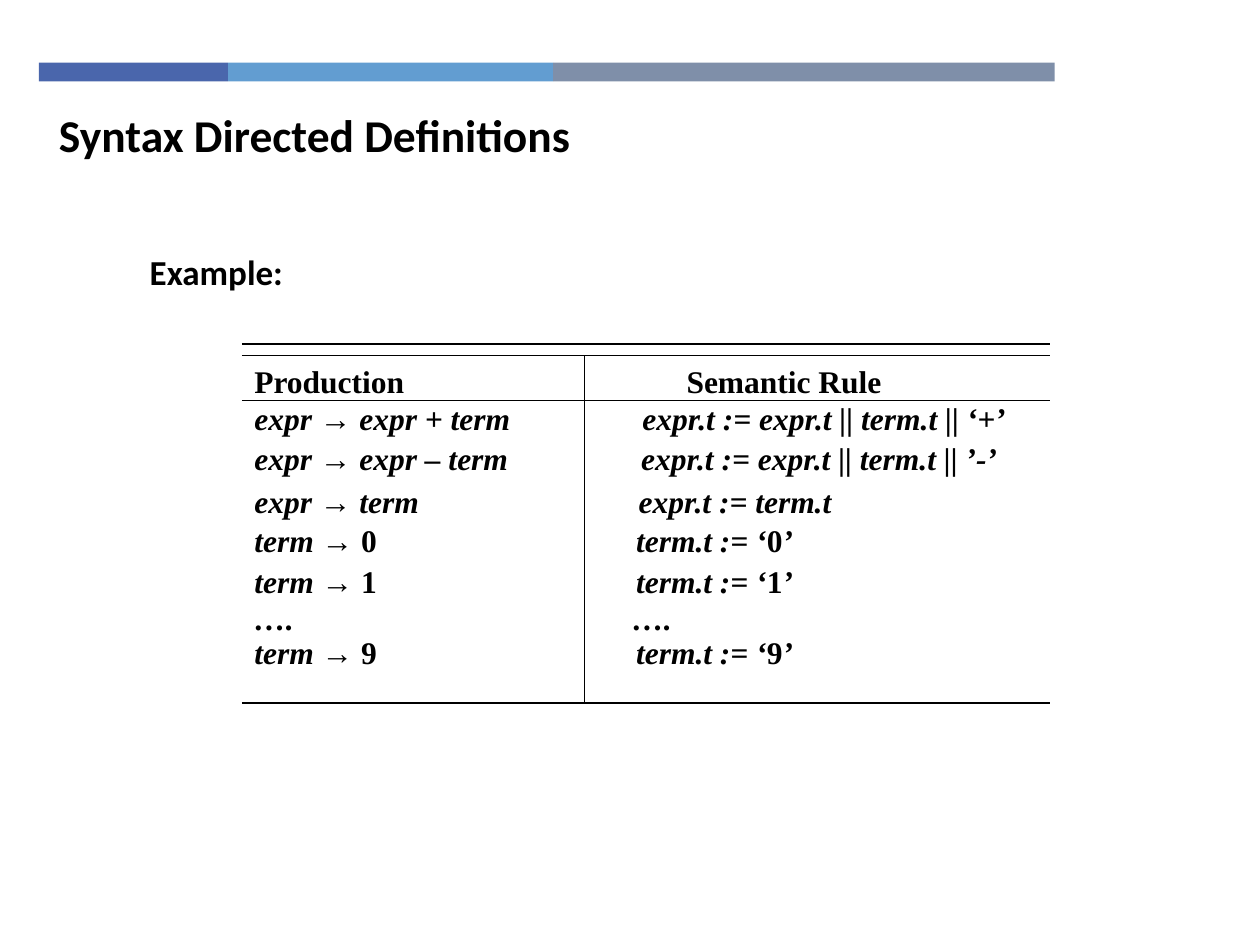
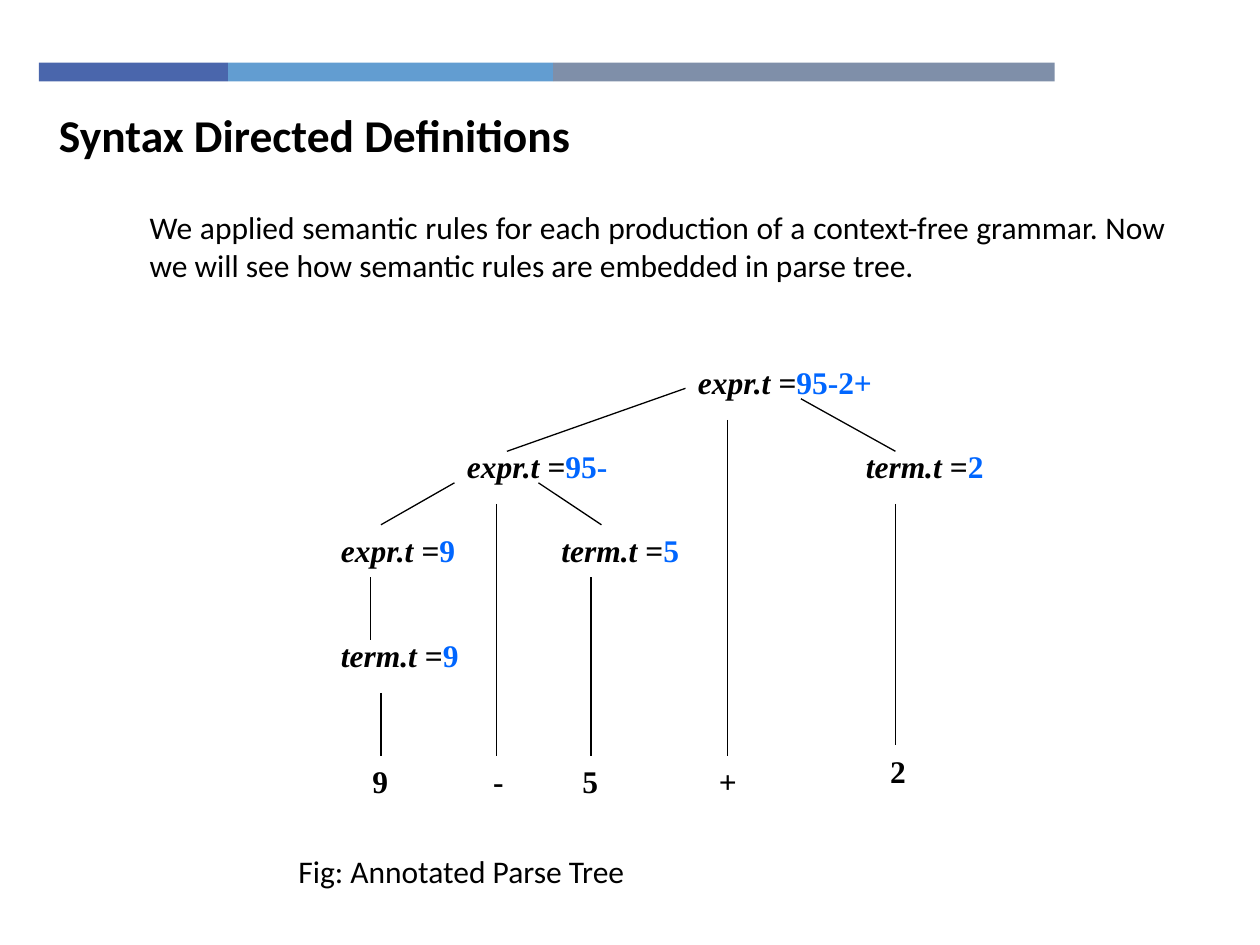
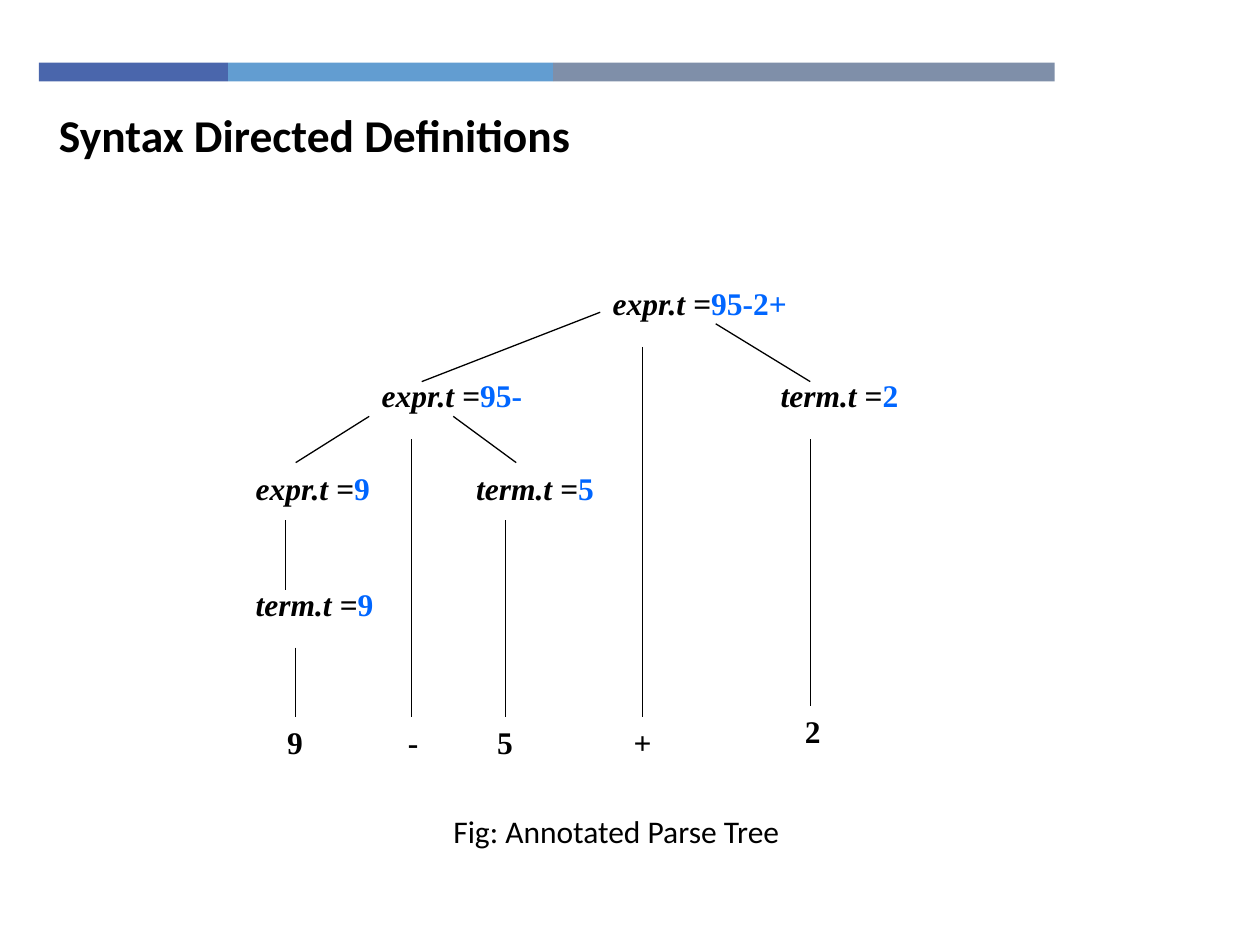
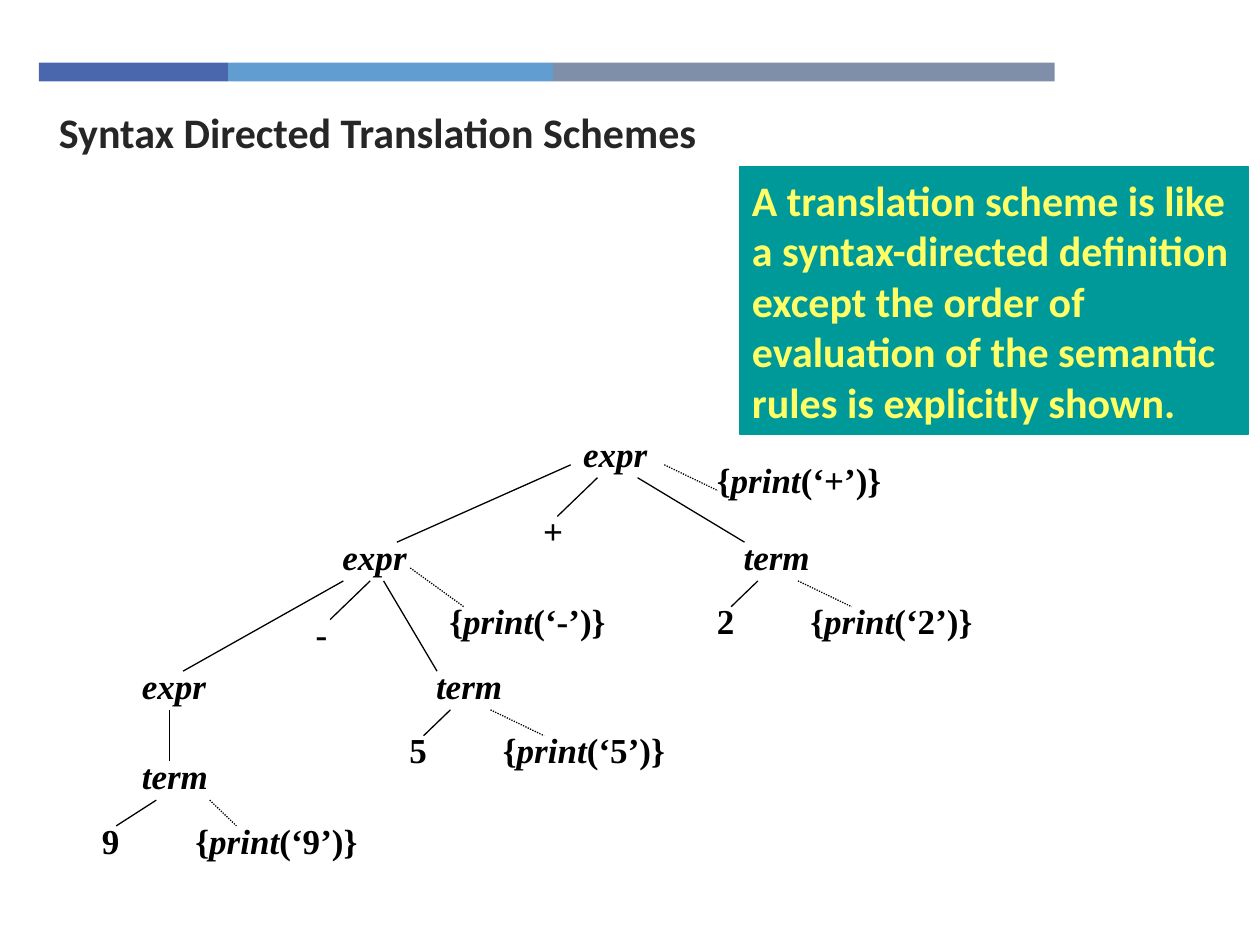
"""Build four slides on syntax-directed definitions and translation schemes."""
import lxml.etree
import pptx
import pptx.dml.color
import pptx.enum.dml
import pptx.enum.shapes
import pptx.enum.text
import pptx.oxml.ns
import pptx.util

RGBColor = pptx.dml.color.RGBColor
ALIGN = pptx.enum.text.PP_ALIGN
ANCHOR = pptx.enum.text.MSO_ANCHOR
SHAPE = pptx.enum.shapes.MSO_SHAPE
qn = pptx.oxml.ns.qn

BLACK = RGBColor(0, 0, 0)
CHARCOAL = RGBColor(0x26, 0x26, 0x26)
NAVY = RGBColor(0x4A, 0x66, 0xAC)
SKY = RGBColor(0x62, 0x9D, 0xD1)
SLATE = RGBColor(0x7F, 0x8F, 0xA9)
BLUE = RGBColor(0, 0x66, 0xFF)
TEAL = RGBColor(0, 0x99, 0x99)
YELLOW = RGBColor(0xFF, 0xFF, 0x66)

SANS, SERIF = "Calibri", "Times New Roman"
BANDS = [(15, NAVY), (25.8, SKY), (39.8, SLATE)]
THIN = 0.75

RULES = [
    (1, 34.3, "Production", "Semantic Rule"),
    (0.5, 30.8, "_expr_ → _expr + term_", "_expr.t := expr.t || term.t || ‘+’_"),
    (0.7, 30.7, "_expr_ → _expr – term_", "_expr.t := expr.t || term.t || ’-’_"),
    (0.7, 30.5, "_expr_ → _term_", "_expr.t := term.t_"),
    (0.6, 30.3, "_term_ → 0", "_term.t := ‘_0_’_"),
    (0.7, 30.3, "_term_ → 1", "_term.t := ‘_1_’_"),
    (0.5, 30, "_…._", "_…._"),
    (0.5, 30.3, "_term_ → 9", "_term.t := ‘_9_’_"),
]
RULE_LINES = [(19.2, y, 83.3, y) for y in (28.2, 27.3, 55.8, 31.8)]
RULE_LINES.append((46.4, 28.2, 46.4, 55.8))

PARSE_NODES = [
    (12, 8, 18, "_expr.t =_95-"), (0, 16, 18, "_expr.t =_9"),
    (34, 0, 21, "_expr.t =_95-2+"), (21, 16, 18, "_term.t =_5"),
    (50, 8, 18, "_term.t =_2"), (0, 26, 18, "_term.t =_9"),
]
PARSE_LEAVES = [(52.3, 37, "2"), (36, 38, "+"), (23, 38, "5"),
                (14.5, 38, "-"), (3, 38, "9")]
PARSE_EDGES = [
    (5, 32, 5, 38), (45, 4, 54, 9), (20, 12, 26, 16), (34, 3, 17, 9),
    (12, 12, 5, 16), (4, 21, 4, 27), (16, 14, 16, 38), (38, 6, 38, 38),
    (25, 21, 25, 38), (54, 14, 54, 37),
]

SCHEME_NODES = [(3, 25, "term"), (48, 8, "term"), (25, 18, "term"),
                (3, 18, "expr"), (18, 8, "expr"), (36, 0, "expr")]
SCHEME_LEAVES = [(0, 30, "9"), (23, 23, "5"), (46, 13, "2"),
                 (16, 14, "-"), (33, 6, "+")]
SCHEME_PRINTS = [(26, 13, "-"), (7, 30, "9"), (30, 23, "5"),
                 (53, 13, "2"), (46, 2, "+")]
SCHEME_EDGES = [
    (5, 29, 2, 31), (21, 12, 18, 15), (6, 22, 6, 26), (19, 12, 7, 19),
    (22, 12, 26, 19), (27, 22, 25, 24), (50, 12, 48, 14), (38, 4, 35, 7),
    (41, 4, 49, 9), (36, 3, 23, 9),
]
SCHEME_DOTS = [(30, 22, 34, 24), (9, 29, 11, 31), (24, 11, 28, 14),
               (53, 12, 57, 14), (43, 3, 47, 5)]


def write(par, text, font=SANS, size=18, color=BLACK, tint=None,
          bold=False, align=ALIGN.LEFT):
    """Fill a paragraph; underscores enclose italics, and tint colours the upright runs."""
    par.alignment = align
    for i, part in enumerate(text.split("_")):
        if part:
            run = par.add_run()
            run.text = part
            run.font.name = font
            run.font.size = pptx.util.Pt(size)
            run.font.bold = bold
            run.font.italic = i % 2 == 1
            run.font.color.rgb = tint if tint and i % 2 == 0 else color


class Deck:
    """Hold the style, the current slide and its grid."""

    def __init__(self):
        """Start an empty ten by seven and a half inch show."""
        self.show = pptx.Presentation()
        self.show.slide_width = pptx.util.Inches(10)
        self.show.slide_height = pptx.util.Inches(7.5)

    def grid(self, left=0, top=0, col=7.2, row=7.2):
        """Set the grid's corner and cell size in points."""
        self.left, self.top, self.col, self.row = left, top, col, row

    def x(self, cols):
        """Return the place of a column."""
        return pptx.util.Pt(self.left + cols * self.col)

    def y(self, rows):
        """Return the place of a row."""
        return pptx.util.Pt(self.top + rows * self.row)

    def area(self, x, y, wide, high):
        """Return a box of cells as left, top, width and height."""
        return (self.x(x), self.y(y),
                pptx.util.Pt(wide * self.col), pptx.util.Pt(high * self.row))

    def slide(self, title, **form):
        """Add a slide with the bands and a title."""
        self.page = self.show.slides.add_slide(self.show.slide_layouts[6])
        self.grid()
        left = 3.1
        for wide, color in BANDS:
            self.block(left, 4.96, wide, 1.5, color)
            left += wide
        self.text(3.7, 8, 71.6, 5.4, title, **{"size": 26, "bold": True, **form})

    def block(self, x, y, wide, high, color):
        """Draw a plain filled box."""
        box = self.page.shapes.add_shape(SHAPE.RECTANGLE, *self.area(x, y, wide, high))
        box.shadow.inherit = False
        box.fill.solid()
        box.fill.fore_color.rgb = color
        box.line.fill.background()
        return box

    def frame(self, x, y, wide, high):
        """Place an empty text box and return its wrapping frame."""
        box = self.page.shapes.add_textbox(*self.area(x, y, wide, high))
        box.text_frame.word_wrap = True
        return box.text_frame

    def text(self, x, y, wide, high, words, **form):
        """Place a text box."""
        write(self.frame(x, y, wide, high).paragraphs[0], words, **form)

    def note(self, x, y, wide, high, words, fill, **form):
        """Place text on a filled box with a line of the same colour."""
        box = self.block(x, y, wide, high, fill)
        box.line.color.rgb = fill
        box.line.width = pptx.util.Pt(1)
        box.text_frame.word_wrap = True
        box.text_frame.vertical_anchor = ANCHOR.MIDDLE
        write(box.text_frame.paragraphs[0], words, **form)

    def line(self, x1, y1, x2, y2, dash=None):
        """Draw a thin line between two grid points."""
        line = self.page.shapes.add_connector(
            pptx.enum.shapes.MSO_CONNECTOR.STRAIGHT,
            self.x(x1), self.y(y1), self.x(x2), self.y(y2))
        line.line.color.rgb = BLACK
        line.line.width = pptx.util.Pt(THIN)
        if dash:
            line.line.dash_style = dash
        lxml.etree.SubElement(line._element.spPr, qn("a:effectLst"))

    def pairs(self, x, y, wide, high, rows, **form):
        """Place rows of two texts, the second at a tab stop."""
        frame = self.frame(x, y, wide, high)
        for i, (space, stop, *words) in enumerate(rows):
            par = frame.add_paragraph() if i else frame.paragraphs[0]
            par.line_spacing = space
            props = par._p.get_or_add_pPr()
            before = lxml.etree.SubElement(props, qn("a:spcBef"))
            lxml.etree.SubElement(before, qn("a:spcPct")).set("val", "50000")
            tabs = lxml.etree.SubElement(props, qn("a:tabLst"))
            tab = lxml.etree.SubElement(tabs, qn("a:tab"))
            tab.set("pos", str(pptx.util.Pt(stop * self.col)))
            tab.set("algn", "l")
            write(par, "\t".join(words), **form)


def parse_tree(deck, left, top, row):
    """Draw the annotated parse tree."""
    deck.grid(left, top, 6, row)
    form = {"font": SERIF, "bold": True}
    for x, y, wide, words in PARSE_NODES:
        deck.text(x, y, wide, 5.2, words, tint=BLUE, **form)
    for edge in PARSE_EDGES:
        deck.line(*edge)
    for x, y, words in PARSE_LEAVES:
        deck.text(x, y, 9, 5.2, words, **form)
    deck.grid()


def scheme_tree(deck):
    """Draw the tree with its print actions."""
    deck.grid(51.1, 243.5, 7.64, 7.37)
    form = {"font": SERIF, "size": 20, "bold": True}
    for x, y, word in SCHEME_NODES:
        deck.text(x, y, 13, 4.3, f"_{word}_", **form)
    for x, y, word in SCHEME_LEAVES:
        deck.text(x, y, 6, 4.3, word, **form)
    for x, y, sign in SCHEME_PRINTS:
        deck.text(x, y, 16, 4.3, f"{{_print_(‘{sign}’)}}", **form)
    for edge in SCHEME_EDGES:
        deck.line(*edge)
    for edge in SCHEME_DOTS:
        deck.line(*edge, dash=pptx.enum.dml.MSO_LINE.ROUND_DOT)
    deck.grid()


def main():
    """Build and save the show."""
    deck = Deck()
    topic = "Syntax Directed Definitions"
    figure = "Fig: Annotated Parse Tree"

    deck.slide(topic)
    deck.text(10.9, 19.4, 82.6, 4.4, "Example:", size=20, bold=True)
    deck.pairs(19.2, 28.2, 75.8, 27.2, RULES, font=SERIF, bold=True)
    for rule in RULE_LINES:
        deck.line(*rule)

    deck.slide(topic)
    deck.text(10.9, 16, 82.6, 7.1,
              "We applied semantic rules for each production of a context-free "
              "grammar. Now we will see how semantic rules are embedded in parse tree.",
              align=ALIGN.JUSTIFY)
    parse_tree(deck, 187.7, 203.9, 6)
    deck.text(22.7, 67.1, 30, 4, figure)

    deck.slide(topic)
    parse_tree(deck, 139, 158.6, 6.61)
    deck.text(35, 63.95, 30, 4, figure)

    deck.slide("Syntax Directed Translation Schemes", size=24, color=CHARCOAL,
               align=ALIGN.JUSTIFY)
    scheme_tree(deck)
    deck.note(58.7, 13.25, 40.4, 21.2,
              "A translation scheme is like a syntax-directed definition except "
              "the order of evaluation of the semantic rules is explicitly shown.",
              TEAL, size=24, color=YELLOW, bold=True)

    deck.show.save("out.pptx")


if __name__ == "__main__":
    main()
